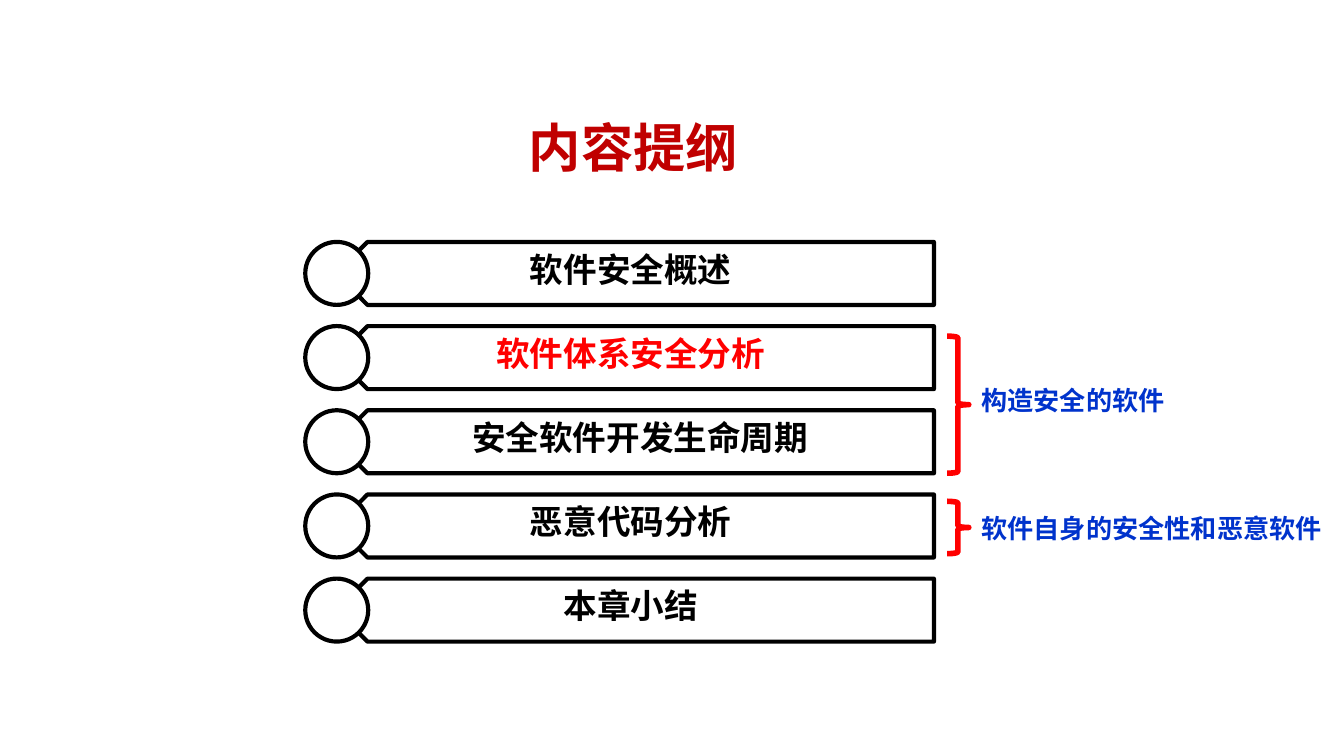
"""Builds the chapter outline slide with five topics and two braces."""
from pptx import Presentation, util as u
from pptx.dml.color import RGBColor
from pptx.enum import shapes, text
from pptx.oxml.ns import qn

COLOURS = {"title": "C00000", "accent": "FF0000", "ink": "000000",
           "note": "0033CC", "paper": "FFFFFF"}
CJK_FONT = "Noto Sans CJK SC"
FIRST_TOP, PITCH, BAR_HEIGHT = 4.57, 1.59, 1.19


class OutlineSlide:
    """Holds the style and the current slide."""

    def __init__(self, presentation):
        """Add a blank slide."""
        self.slide = presentation.slides.add_slide(presentation.slide_layouts[6])

    def colour(self, name):
        """Look up a colour by name."""
        return RGBColor.from_string(COLOURS[name])

    def label(self, parent, words, box, size, colour, font="Arial",
              align=text.PP_ALIGN.CENTER, anchor=text.MSO_ANCHOR.TOP, wrap=True):
        """Add a bold one-line text box."""
        shape = parent.add_textbox(*map(u.Cm, box))
        frame = shape.text_frame
        frame.word_wrap = wrap
        frame.vertical_anchor = anchor
        frame.text = words
        paragraph = frame.paragraphs[0]
        paragraph.alignment = align
        run = paragraph.runs[0]
        run.font.name = font
        run.font.size = u.Pt(size)
        run.font.bold = True
        run.font.color.rgb = self.colour(colour)
        properties = run.font._element
        east_asian = properties.makeelement(qn("a:ea"), {"typeface": CJK_FONT})
        properties.find(qn("a:latin")).addnext(east_asian)
        return shape

    def outline(self, parent, kind, box, line="ink", width=2.25, filled=True):
        """Add a preset shape with a coloured line."""
        shape = parent.add_shape(kind, *map(u.Cm, box))
        shape.shadow.inherit = False
        if filled:
            shape.fill.solid()
            shape.fill.fore_color.rgb = self.colour("paper")
        else:
            shape.fill.background()
        shape.line.color.rgb = self.colour(line)
        shape.line.width = u.Pt(width)
        return shape

    def topic(self, row, words, colour="ink", centre=11.92, width=5.97):
        """Add a grouped bar, circle and topic name."""
        top = FIRST_TOP + row * PITCH
        group = self.slide.shapes.add_group_shape().shapes
        bar = self.outline(group, shapes.MSO_SHAPE.PENTAGON, (6.35, top, 11.3, BAR_HEIGHT))
        bar.rotation = 180
        self.outline(group, shapes.MSO_SHAPE.OVAL, (5.77, top, BAR_HEIGHT, BAR_HEIGHT))
        self.label(group, words, (centre - width / 2, top, width, 1.03), 18, colour, CJK_FONT)

    def brace(self, top, height, words, note_top, note_width):
        """Add a right brace and its note."""
        self.outline(self.slide.shapes, shapes.MSO_SHAPE.RIGHT_BRACE,
                     (17.9, top, 0.41, height), "accent", 3, filled=False)
        note = self.label(self.slide.shapes, words, (18.3, note_top, note_width, 0.86),
                          14, "note", align=text.PP_ALIGN.LEFT, wrap=False)
        note.text_frame.auto_size = text.MSO_AUTO_SIZE.SHAPE_TO_FIT_TEXT


def main():
    """Build and save the slide."""
    presentation = Presentation()
    presentation.slide_width, presentation.slide_height = u.Cm(25.4), u.Cm(14.28)
    outline = OutlineSlide(presentation)
    outline.label(outline.slide.shapes, "内容提纲", (4.17, 1.57, 15.6, 2.39), 28, "title",
                  anchor=text.MSO_ANCHOR.MIDDLE)
    topics = [
        ("软件安全概述", {}),
        ("软件体系安全分析", {"colour": "accent"}),
        ("安全软件开发生命周期", {"centre": 12.1, "width": 7.54}),
        ("恶意代码分析", {}),
        ("本章小结", {}),
    ]
    for row, (words, style) in enumerate(topics):
        outline.topic(row, words, **style)
    outline.brace(6.35, 2.59, "构造安全的软件", 7.14, 4.01)
    outline.brace(9.47, 0.99, "软件自身的安全性和恶意软件", 9.55, 7.01)
    presentation.save("out.pptx")


if __name__ == "__main__":
    main()
